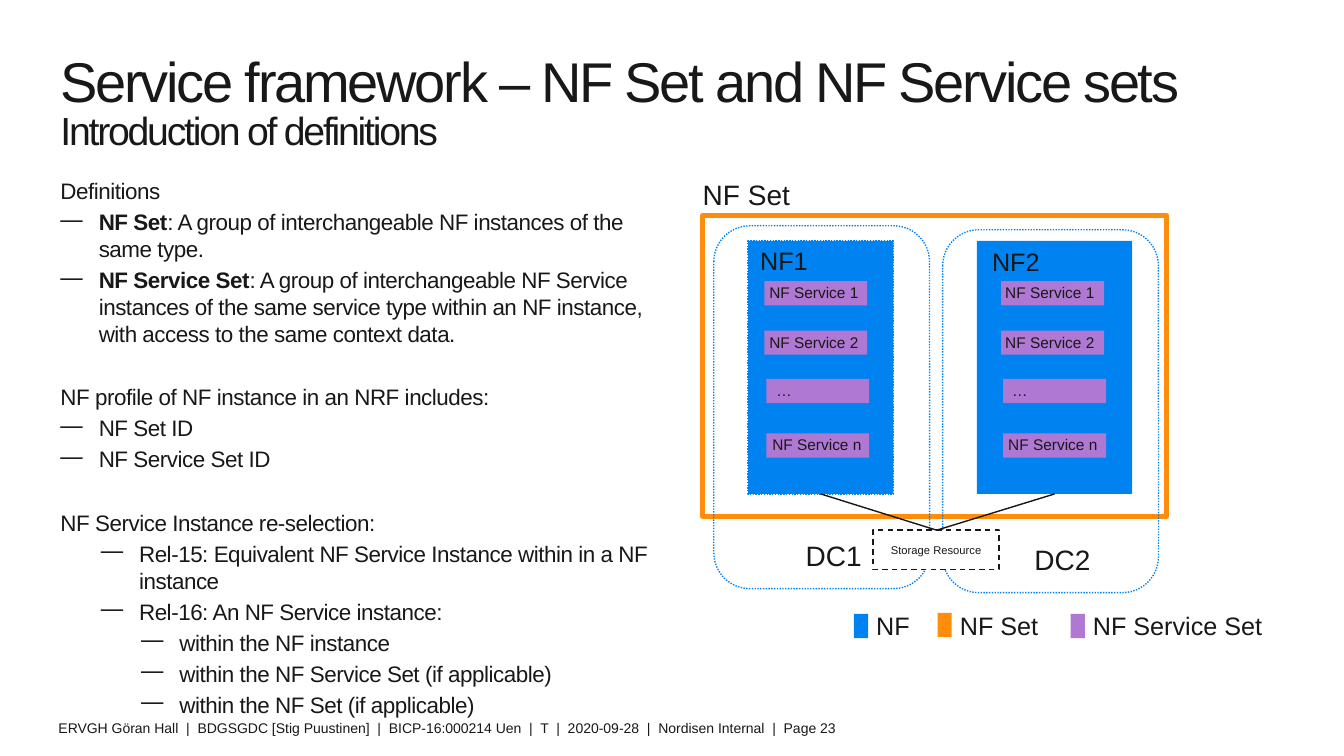
from lxml import etree
from pptx import Presentation
from pptx import util as u
from pptx.dml.color import RGBColor
from pptx.enum import dml, shapes, text
from pptx.oxml.ns import qn

PX = 9144
COLORS = {"ink": "181818", "footer": "1A1816", "nf": "0082F0", "set": "FF8C0A",
          "service": "AF78D2", "white": "FFFFFF"}

deck = Presentation()
deck.slide_width, deck.slide_height = 1333 * PX, 750 * PX
page = deck.slides.add_slide(deck.slide_layouts[6])


def add_label(wording, left, top, width, height, size, color="ink", insets=(8, 4, 0, 4), wrap=False):
    box = page.shapes.add_textbox(left * PX, top * PX, width * PX, height * PX)
    frame = box.text_frame
    frame.word_wrap = wrap
    frame.margin_left, frame.margin_top, frame.margin_right, frame.margin_bottom = (
        inset * PX for inset in insets)
    frame.text = wording
    for span in frame.paragraphs[0].runs:
        span.font.size = u.Pt(size)
        span.font.name = "Arial"
        span.font.color.rgb = RGBColor.from_string(COLORS[color])
    return frame


def add_block(left, top, width, height, fill=None, line=None, weight=1, dash=None,
              kind=shapes.MSO_SHAPE.RECTANGLE):
    block = page.shapes.add_shape(kind, left * PX, top * PX, width * PX, height * PX)
    block.shadow.inherit = False
    if fill:
        block.fill.solid()
        block.fill.fore_color.rgb = RGBColor.from_string(COLORS[fill])
    else:
        block.fill.background()
    if line:
        block.line.color.rgb = RGBColor.from_string(COLORS[line])
        block.line.width = u.Pt(weight)
        block.line.dash_style = dash
    else:
        block.line.fill.background()
    return block


add_label("ERVGH Göran Hall  |  BDGSGDC [Stig Puustinen]  |  BICP-16:000214 Uen  |  T  |  "
          "2020-09-28  |  Nordisen Internal  |  Page 23",
          58, 714, 1079, 24, 10, "footer", (0, 0, 0, 0))

title = add_label("Service framework – NF Set and NF Service sets\vIntroduction of definitions",
                  52, 52, 1136, 118, 40, insets=(8, 4, 0, 0), wrap=True).paragraphs[0]
title.line_spacing = 0.85
title.space_before = u.Pt(3)
title.runs[1].font.size = u.Pt(28)
for span in title.runs:
    span.font._element.set("spc", "-160")

body_lines = [
    (None, "", "Definitions"),
    (0, "NF Set", ": A group of interchangeable NF instances of the same type."),
    (0, "NF Service Set", ": A group of interchangeable NF Service instances of the same service "
     "type within an NF instance, with access to the same context data."),
    (None, "", "NF profile of NF instance in an NRF includes:"),
    (0, "", "NF Set ID"),
    (0, "", "NF Service Set ID"),
    (None, "", "NF Service Instance re-selection:"),
    (1, "", "Rel-15: Equivalent NF Service Instance within in a NF instance"),
    (1, "", "Rel-16: An NF Service instance:"),
    (2, "", "within the NF instance"),
    (2, "", "within the NF Service Set (if applicable)"),
    (2, "", "within the NF Set (if applicable)"),
]
body = add_label("", 52, 172, 620, 542, 16, insets=(8, 4, 0, 0), wrap=True)
for index, (level, term, wording) in enumerate(body_lines):
    para = body.add_paragraph() if index else body.paragraphs[0]
    if index:
        para.space_before = u.Pt(26 if level is None else 3)
    if level is not None:
        para.level = level
        props = para._p.get_or_add_pPr()
        props.set("marL", str((38 + 40 * level) * PX))
        props.set("indent", str(-38 * PX))
        etree.SubElement(props, qn("a:buChar")).set("char", "—")
    for part, bold in ((term, True), (wording, False)):
        if part:
            span = para.add_run()
            span.text = part
            span.font.size = u.Pt(16)
            span.font.name = "Arial"
            span.font.bold = bold
            span.font.color.rgb = RGBColor.from_string(COLORS["ink"])
            span.font._element.set("spc", "-30")

for wording, left, top, width, color in [("NF", 847, 609, 100, "nf"),
                                         ("NF Set", 930, 608, 100, "set"),
                                         ("NF Service Set", 1062, 609, 190, "service")]:
    add_block(left, top, 14, 24, color)
    add_label(wording, left + 14, 601, width, 38, 18)

add_label("NF Set", 689, 172, 100, 38, 20)
add_block(697, 214, 460, 298, line="set", weight=3.5)

dots = dml.MSO_LINE.ROUND_DOT
add_block(742, 239, 144, 251, "nf", "nf", dash=dots)
add_block(969, 239, 154, 251, "nf")
add_label("NF1", 746, 239, 100, 38, 18)
add_label("NF2", 976, 240, 100, 38, 18)

services = [("NF Service 1", 279, 0, 0), ("NF Service 2", 328, 0, 0),
            ("…", 376, 2, 7), ("NF Service n", 430, 2, 3)]
for bar_left, label_left in ((758, 755), (993, 989)):
    for wording, top, bar_shift, label_shift in services:
        add_block(bar_left + bar_shift, top, 102, 24, "service")
        add_label(wording, label_left + label_shift, top - 2, 100, 38, 11)

for wording, left, top, label_left in (("DC1", 708, 224, 791), ("DC2", 935, 228, 1018)):
    add_block(left, top, 214, 360, line="nf", dash=dots,
              kind=shapes.MSO_SHAPE.ROUNDED_RECTANGLE)
    add_label(wording, label_left, top + 306, 100, 38, 20)

storage = add_block(866, 526, 125, 39, "white", "ink", dash=dml.MSO_LINE.DASH)
storage.text_frame.text = "Storage Resource"
storage.text_frame.vertical_anchor = text.MSO_ANCHOR.MIDDLE
para = storage.text_frame.paragraphs[0]
para.alignment = text.PP_ALIGN.CENTER
para.font.size = u.Pt(8)
para.font.name = "Arial"
para.font.color.rgb = RGBColor.from_string(COLORS["ink"])

for nf_center in (814, 1046):
    link = page.shapes.add_connector(shapes.MSO_CONNECTOR.STRAIGHT,
                                     929 * PX, 526 * PX, nf_center * PX, 490 * PX)
    link.line.color.rgb = RGBColor.from_string(COLORS["ink"])
    link.line.width = u.Pt(1)
    etree.SubElement(link._element.spPr, qn("a:effectLst"))

deck.save("out.pptx")
